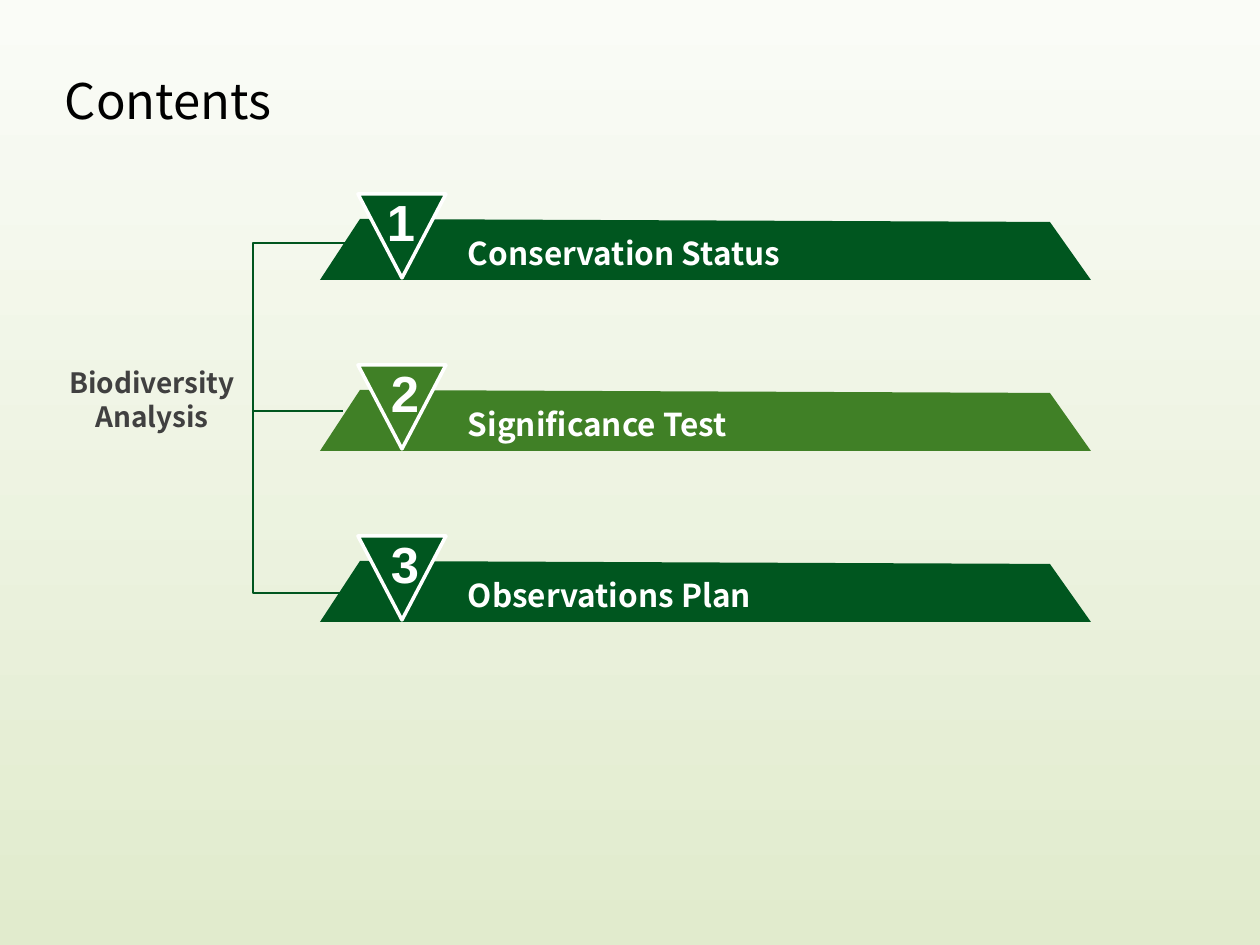
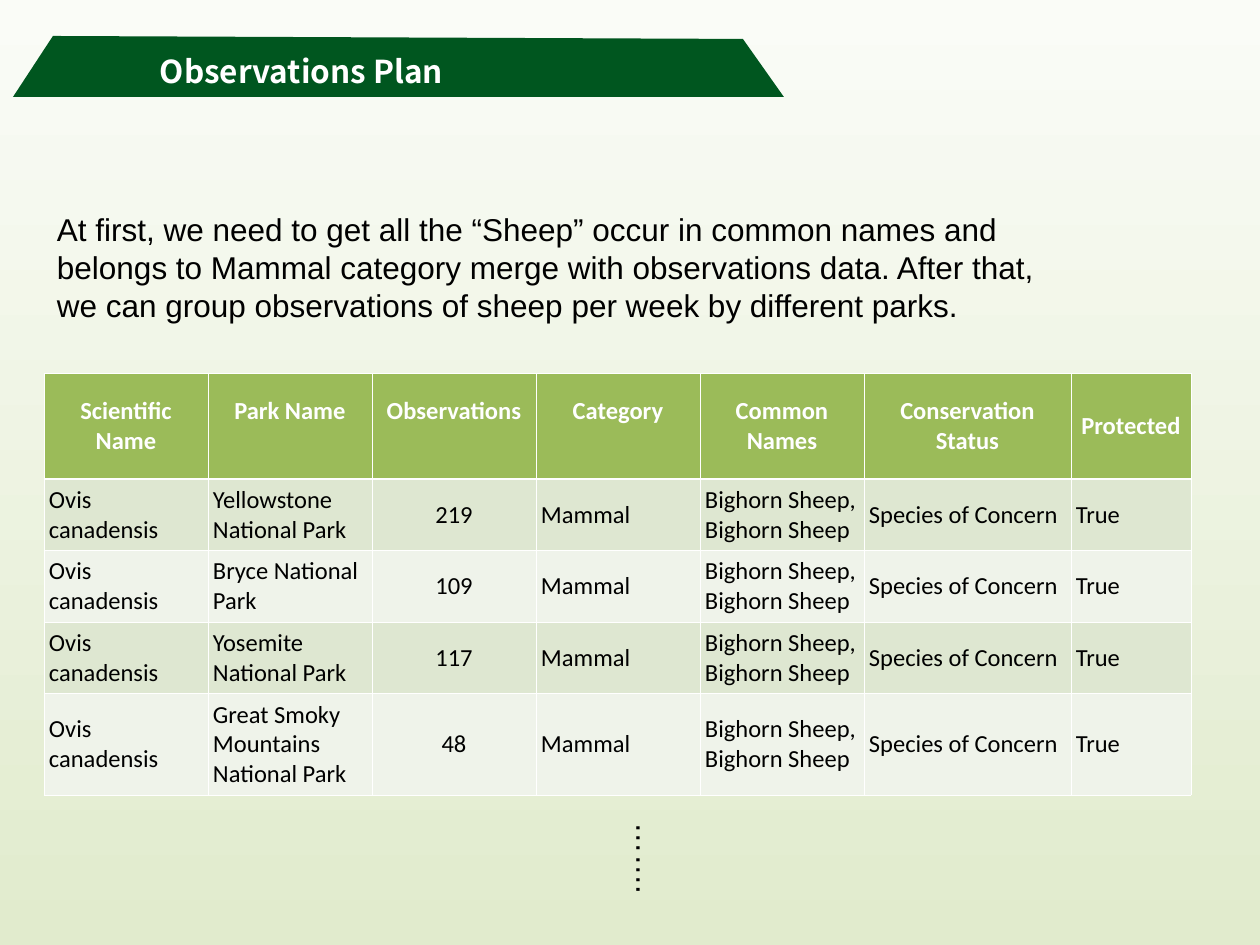
from dataclasses import dataclass
from itertools import product

from lxml import etree
from pptx import Presentation
from pptx import util as u
from pptx.dml.color import RGBColor
from pptx.enum import shapes, text
from pptx.oxml import ns

PX = 914400 / 126  # EMU in one px


@dataclass(frozen=True)
class Theme:
    forest: str = "00561F"
    leaf: str = "408026"
    header: str = "9BBB59"
    row_tints: tuple = ("DEE7D1", "EFF3EA")
    sky: str = "FAFCF7"
    meadow: str = "E1EBCD"
    white: str = "FFFFFF"
    black: str = "000000"
    grey: str = "404040"
    heading_font: str = "Noto Sans CJK SC"
    body_font: str = "Arial"
    table_font: str = "Calibri"
    title_size: int = 28
    number_size: int = 29
    body_size: int = 18
    label_size: int = 16
    table_size: int = 14


THEME = Theme()
LEFT, CENTER = text.PP_ALIGN.LEFT, text.PP_ALIGN.CENTER

TITLE = dict(name=THEME.heading_font, size=THEME.title_size, color=THEME.black, bold=False)
BAND_LABEL = dict(name=THEME.heading_font, size=THEME.body_size, color=THEME.white, bold=True)
NUMBER = dict(name=THEME.body_font, size=THEME.number_size, color=THEME.white, bold=True)
TOPIC = dict(name=THEME.heading_font, size=THEME.label_size, color=THEME.grey, bold=True)
BODY = dict(name=THEME.body_font, size=THEME.body_size, color=THEME.black)
HEADER_CELL = dict(name=THEME.table_font, size=THEME.table_size, color=THEME.white, bold=True)
BODY_CELL = {**HEADER_CELL, "color": THEME.black, "bold": False}

SECTIONS = [  # label, colour, left edge of the number
    ("Conservation Status", THEME.forest, 374),
    ("Significance Test", THEME.leaf, 378),
    ("Observations Plan", THEME.forest, 378),
]
SECTION_TOP, SECTION_STEP, SECTION_LEFT = 219, 171, 320

COLUMNS = ["Scientific Name", "Park Name", "Observations", "Category",
           "Common Names", "Conservation Status", "Protected"]
COLUMN_WIDTHS = [164] * 5 + [207, 120]
ROW_HEIGHTS = [106, 69, 69, 69, 98]
RAISED_HEADERS = {"Park Name", "Observations", "Category"}
PARK_COUNTS = [
    ("Yellowstone National Park", 219),
    ("Bryce National Park", 109),
    ("Yosemite National Park", 117),
    ("Great Smoky Mountains National Park", 48),
]
PLAN = ("At first, we need to get all the “Sheep” occur in common names and belongs to "
        "Mammal category merge with observations data. After that, we can group "
        "observations of sheep per week by different parks.")


# Basic helpers
def px(*lengths):
    return [u.Emu(round(length * PX)) for length in lengths]


def assign(target, values):
    for name, value in values.items():
        setattr(target, name, value)


def set_margins(target, left, top, right, bottom):
    sides = ("left", "top", "right", "bottom")
    assign(target, {f"margin_{side}": length
                    for side, length in zip(sides, px(left, top, right, bottom))})


def paint(fill, color):
    fill.solid()
    fill.fore_color.rgb = RGBColor.from_string(color)


def stroke(line, color, width):
    paint(line.fill, color)
    line.width = u.Pt(width)


def write(frame, words, style, align=LEFT):
    frame.text = words
    for paragraph in frame.paragraphs:
        paragraph.alignment = align
        values = {**style, "size": u.Pt(style["size"])}
        color = values.pop("color")
        for run in paragraph.runs:
            assign(run.font, values)
            run.font.color.rgb = RGBColor.from_string(color)


# Text
def format_frame(frame, wrap, margins):
    assign(frame, dict(word_wrap=wrap, auto_size=text.MSO_AUTO_SIZE.NONE,
                       vertical_anchor=text.MSO_ANCHOR.TOP))
    set_margins(frame, *margins)


def add_text(slide, box, words, style, align=LEFT, wrap=True, margins=(13, 6, 13, 6)):
    frame = slide.shapes.add_textbox(*px(*box)).text_frame
    format_frame(frame, wrap, margins)
    write(frame, words, style, align)
    return frame


def place_title(slide, box, words, style):
    title = slide.shapes.title
    assign(title, dict(zip(("left", "top", "width", "height"), px(*box))))
    format_frame(title.text_frame, False, (13, 6, 13, 6))
    write(title.text_frame, words, style)
    slide.shapes._spTree.append(title._element)  # in front of the band


# Shapes
def add_outline(slide, points, close):
    builder = slide.shapes.build_freeform(*points[0], scale=PX)
    builder.add_line_segments(points[1:], close=close)
    outline = builder.convert_to_shape()
    outline.shadow.inherit = False
    return outline


def add_band(slide, left, top, color):
    corners = [(40, 0), (730, 3), (771, 61), (0, 61)]
    band = add_outline(slide, [(left + x, top + y) for x, y in corners], close=True)
    paint(band.fill, color)
    band.line.fill.background()


def add_bracket(slide):
    bracket = add_outline(slide, [(350, 593), (253, 593), (253, 243), (354, 243)], close=False)
    bracket.fill.background()
    branch = slide.shapes.add_connector(shapes.MSO_CONNECTOR.STRAIGHT, *px(253, 411, 343, 411))
    etree.SubElement(branch._element.spPr, ns.qn("a:effectLst"))
    for part in (bracket, branch):
        stroke(part.line, THEME.forest, 1.5)


def add_section(slide, index, label, color, number_left):
    top = SECTION_TOP + index * SECTION_STEP
    add_band(slide, SECTION_LEFT, top, color)
    add_text(slide, (455, top + 9, 343, 50), label, BAND_LABEL, wrap=False)
    marker = slide.shapes.add_shape(shapes.MSO_SHAPE.ISOSCELES_TRIANGLE,
                                    *px(358, top - 25, 88, 84))
    marker.shadow.inherit = False
    marker._element.spPr.xfrm.set("flipV", "1")
    paint(marker.fill, color)
    stroke(marker.line, THEME.white, 2)
    add_text(slide, (number_left, top - 34, 53, 74), str(index + 1), NUMBER, wrap=False)


# Table
def add_borders(cell, **widths):
    for side, width in widths.items():
        border = etree.SubElement(cell._tc.get_or_add_tcPr(), ns.qn(f"a:ln{side}"),
                                  w=str(u.Pt(width)))
        fill = etree.SubElement(border, ns.qn("a:solidFill"))
        etree.SubElement(fill, ns.qn("a:srgbClr"), val=THEME.white)


def add_observations(slide):
    rows = [COLUMNS] + [
        ["Ovis canadensis", park, str(count), "Mammal", "Bighorn Sheep, Bighorn Sheep",
         "Species of Concern", "True"] for park, count in PARK_COUNTS]
    box = px(44, 373, sum(COLUMN_WIDTHS), sum(ROW_HEIGHTS))
    grid = slide.shapes.add_table(len(rows), len(COLUMNS), *box).table
    for column, width in zip(grid.columns, px(*COLUMN_WIDTHS)):
        column.width = width
    for row, height in zip(grid.rows, px(*ROW_HEIGHTS)):
        row.height = height
    for r, c in product(range(len(rows)), range(len(COLUMNS))):
        cell, words, is_header = grid.cell(r, c), rows[r][c], r == 0
        add_borders(cell, L=0.45, R=0.45, T=1.47 if r == 1 else 0.45,
                    B=1.47 if is_header else 0.45)
        paint(cell.fill, THEME.header if is_header else THEME.row_tints[(r - 1) % 2])
        set_margins(cell, 5, 6, 5, 36 if words in RAISED_HEADERS else 6)
        cell.vertical_anchor = text.MSO_ANCHOR.MIDDLE
        centered = is_header or COLUMNS[c] == "Observations"
        write(cell.text_frame, words, HEADER_CELL if is_header else BODY_CELL,
              CENTER if centered else LEFT)


# Slides
def set_background(master):
    fill = master.background.fill
    fill.gradient()
    fill.gradient_angle = 270
    for stop, position, color in zip(fill.gradient_stops, (0, 1), (THEME.sky, THEME.meadow)):
        stop.position = position
        stop.color.rgb = RGBColor.from_string(color)


def build_contents(slide):
    add_bracket(slide)
    for index, section in enumerate(SECTIONS):
        add_section(slide, index, *section)
    add_text(slide, (52, 366, 200, 70), "Biodiversity\nAnalysis", TOPIC, CENTER,
             margins=(0, 0, 0, 0))
    place_title(slide, (52, 64, 252, 72), "Contents", TITLE)


def build_plan(slide):
    add_band(slide, 13, 36, THEME.forest)
    place_title(slide, (147, 46, 320, 50), "Observations Plan", BAND_LABEL)
    add_text(slide, (44, 204, 1022, 126), PLAN, BODY)
    add_observations(slide)
    dots = add_text(slide, (611, 810, 63, 125), "…….", BODY, margins=(6, 13, 6, 13))
    dots._txBody.bodyPr.set("vert", "eaVert")


def main():
    deck = Presentation()
    deck.slide_width, deck.slide_height = px(1260, 945)
    set_background(deck.slide_master)
    title_only = deck.slide_layouts[5]
    for build in (build_contents, build_plan):
        build(deck.slides.add_slide(title_only))
    deck.save("out.pptx")


if __name__ == "__main__":
    main()
